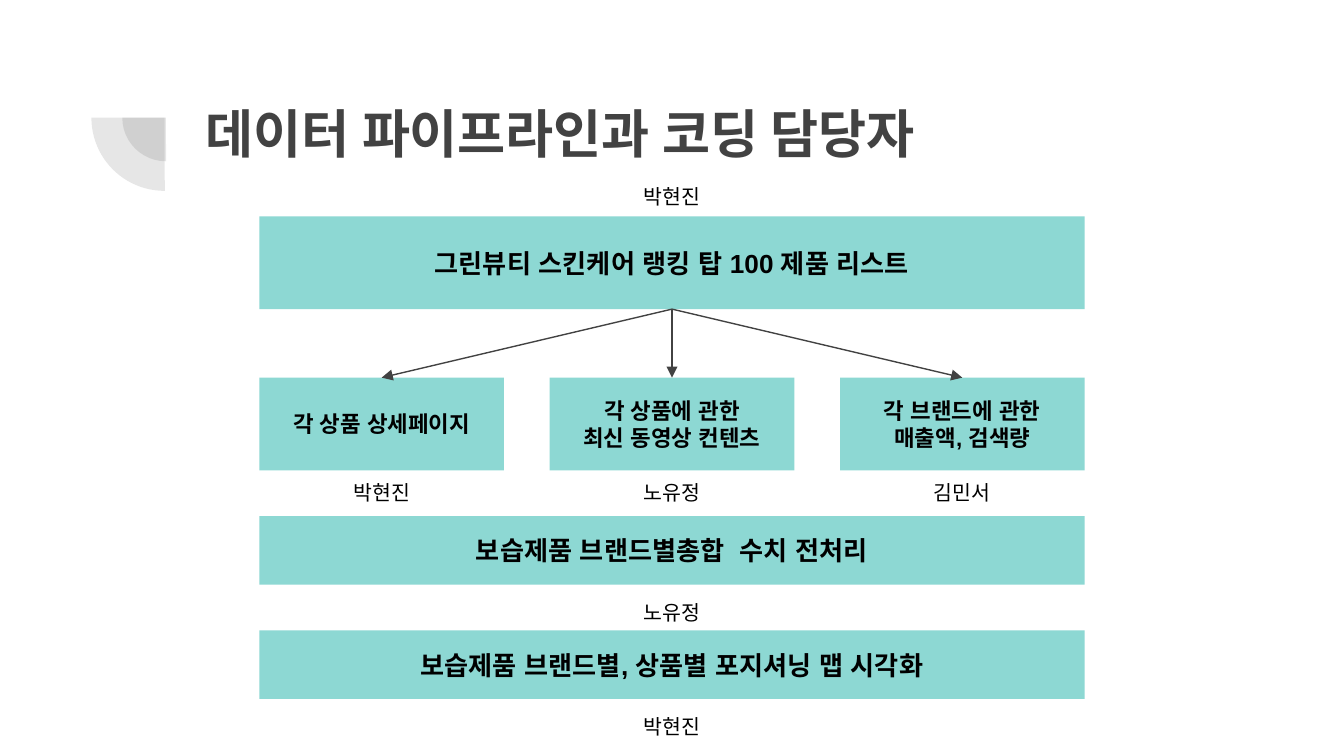
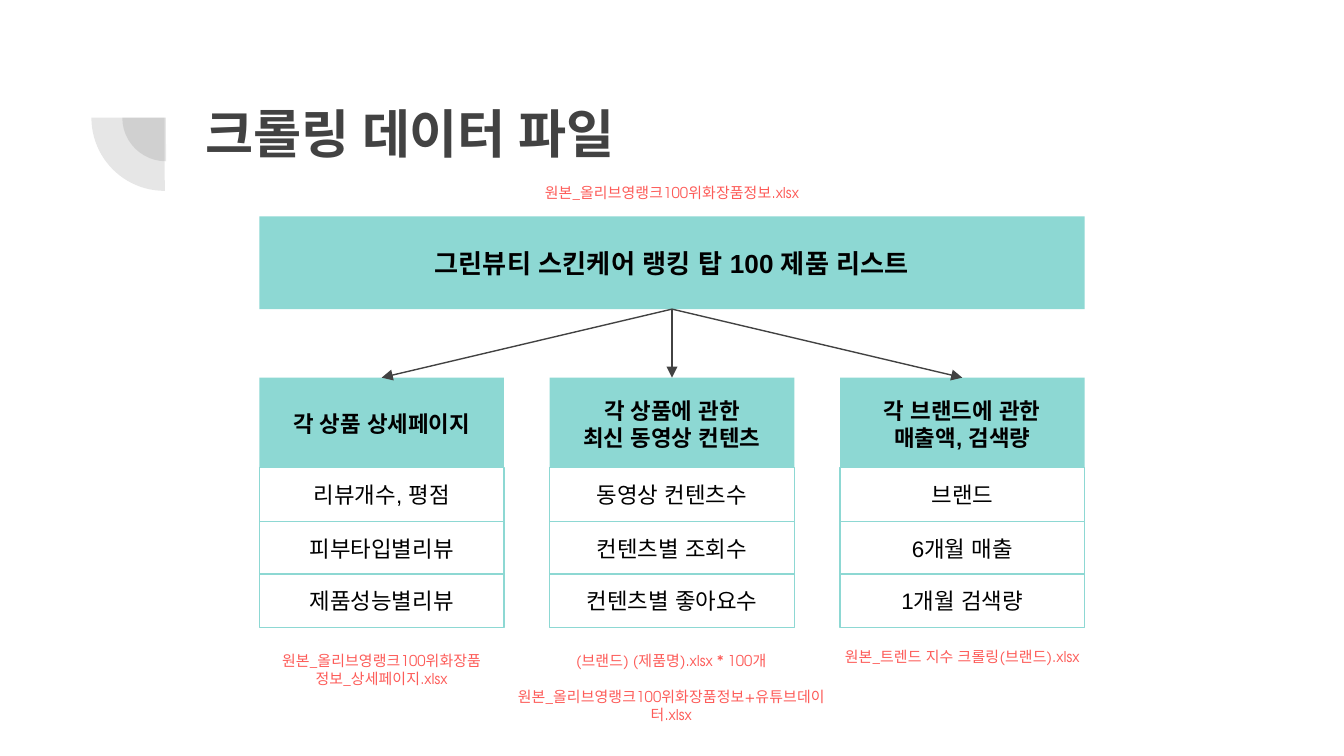
import dataclasses

import lxml.etree
import pptx
import pptx.dml.color
import pptx.enum.shapes
import pptx.enum.text
import pptx.oxml.ns
import pptx.util

Inches = pptx.util.Inches
Kind = pptx.enum.shapes.MSO_SHAPE
Link = pptx.enum.shapes.MSO_CONNECTOR
Align = pptx.enum.text.PP_ALIGN
Anchor = pptx.enum.text.MSO_ANCHOR
Fit = pptx.enum.text.MSO_AUTO_SIZE
qn = pptx.oxml.ns.qn


@dataclasses.dataclass(frozen=True)
class Theme:
    """Colours, fonts and type sizes of the deck."""
    dark: str = "424242"
    teal: str = "8DD8D3"
    white: str = "FFFFFF"
    black: str = "000000"
    red: str = "FD5B58"
    head: str = "Lato"
    body: str = "Arial"
    note: str = "TeX Gyre Adventor"
    title: int = 28
    bar: int = 14
    card: int = 12
    name: int = 11
    file: int = 8
    rule: float = 0.75
    alpha: int = 13


THEME = Theme()
LEFT, WIDE, CARD, STEP = 1.93, 6.14, 1.82, 2.16
COLS = [LEFT + STEP * i for i in range(3)]
TOP = "그린뷰티 스킨케어 랭킹 탑 100 제품 리스트"
CARDS = [
    ["각 상품 상세페이지"],
    ["각 상품에 관한", "최신 동영상 컨텐츠"],
    ["각 브랜드에 관한", "매출액, 검색량"],
]
ROWS = [
    (3.48, ["리뷰개수, 평점", "동영상 컨텐츠수", "브랜드"]),
    (3.88, ["피부타입별리뷰", "컨텐츠별 조회수", "6개월 매출"]),
    (4.27, ["제품성능별리뷰", "컨텐츠별 좋아요수", "1개월 검색량"]),
]


def rgb(code):
    """Turn a hex code into a colour."""
    return pptx.dml.color.RGBColor.from_string(code)


def put(item, values):
    """Set each value of a dict on an item."""
    for key, value in values.items():
        setattr(item, key, value)


def write(shape, lines, font, size, color, bold=False, frame=None, align=Align.CENTER, gap=0):
    """Fill a shape with styled lines, with a gap in points between them."""
    text = shape.text_frame
    sides = ("margin_left", "margin_top", "margin_right", "margin_bottom")
    put(text, dict.fromkeys(sides, Inches(0.1)))
    put(text, {"word_wrap": True, "auto_size": Fit.NONE, **(frame or {})})
    for i, line in enumerate(lines):
        para = text.paragraphs[0] if i == 0 else text.add_paragraph()
        para.alignment = align
        if i and gap:
            para.space_before = pptx.util.Pt(gap)
        run = para.add_run()
        run.text = line
        put(run.font, {"name": font, "size": pptx.util.Pt(size), "bold": bold})
        run.font.color.rgb = rgb(color)
        for tag in ("a:ea", "a:cs"):
            lxml.etree.SubElement(run._r.rPr, qn(tag), typeface=font)


def draw(slide, kind, box, fill, line=None):
    """Add a flat preset shape."""
    shape = slide.shapes.add_shape(kind, *map(Inches, box))
    shape.shadow.inherit = False
    shape.fill.solid()
    shape.fill.fore_color.rgb = rgb(fill)
    if line:
        shape.line.color.rgb = rgb(line)
        shape.line.width = pptx.util.Pt(THEME.rule)
    else:
        shape.line.fill.background()
    return shape


def block(slide, box, lines, size):
    """Add a teal box with bold text."""
    shape = draw(slide, Kind.RECTANGLE, box, THEME.teal)
    write(shape, lines, THEME.body, size, THEME.black, True, {"vertical_anchor": Anchor.MIDDLE})
    return shape


def cell(slide, box, text):
    """Add an outlined white box."""
    shape = draw(slide, Kind.RECTANGLE, box, THEME.white, THEME.teal)
    write(shape, [text], THEME.body, THEME.card, THEME.black,
          frame={"vertical_anchor": Anchor.MIDDLE})


def label(slide, box, lines, size, color, gap=0):
    """Add a centred caption."""
    shape = slide.shapes.add_textbox(*map(Inches, box))
    write(shape, lines, THEME.note, size, color,
          frame={"auto_size": Fit.SHAPE_TO_FIT_TEXT}, gap=gap)


def person(slide, left, top, text, width=CARD):
    """Add the name of the person in charge."""
    label(slide, (left, top, width, 0.39), [text], THEME.name, THEME.black)


def files(slide, left, top, width, height, lines, gap=0):
    """Add the file names of a data set."""
    label(slide, (left, top, width, height), lines, THEME.file, THEME.red, gap)


def arrow(slide, start, end):
    """Link the foot of one box to the head of another."""
    link = slide.shapes.add_connector(Link.STRAIGHT, 0, 0, 0, 0)
    link.begin_connect(start, 2)
    link.end_connect(end, 0)
    link.line.color.rgb = rgb(THEME.dark)
    link.line.width = pptx.util.Pt(THEME.rule)
    props = link._element.spPr
    lxml.etree.SubElement(props.find(qn("a:ln")), qn("a:tailEnd"), type="triangle")
    lxml.etree.SubElement(props, qn("a:effectLst"))


def wedge(slide, left, top, size):
    """Add a faint quarter disc."""
    shape = draw(slide, Kind.PIE, (left, top, size, size), THEME.dark)
    shape.adjustments[0] = 107.93
    shape.adjustments[1] = 162
    shape.rotation = 270
    tint = shape._element.spPr.find(qn("a:solidFill"))[0]
    lxml.etree.SubElement(tint, qn("a:alpha"), val=str(THEME.alpha * 1000))


def start(deck, text):
    """Add a slide with its title, mark and data tree."""
    slide = deck.slides.add_slide(deck.slide_layouts[5])
    wedge(slide, 0.91, 0.55, 0.65)
    wedge(slide, 0.68, 0.33, 1.09)
    title = slide.shapes.title
    box = {"left": 1.43, "top": 0.65, "width": 7.69, "height": 1.09}
    put(title, {key: Inches(value) for key, value in box.items()})
    write(title, [text], THEME.head, THEME.title, THEME.dark, True,
          {"vertical_anchor": Anchor.TOP}, Align.LEFT)
    root = block(slide, (LEFT, 1.61, WIDE, 0.69), [TOP], THEME.bar)
    for left, lines in zip(COLS, CARDS):
        card = block(slide, (left, 2.81, CARD, 0.69), lines, THEME.card)
        arrow(slide, root, card)
    return slide


def flow(deck):
    """Build the pipeline slide."""
    slide = start(deck, "데이터 파이프라인과 코딩 담당자")
    person(slide, LEFT, 1.28, "박현진", WIDE)
    for left, name in zip(COLS, ("박현진", "노유정", "김민서")):
        person(slide, left, 3.48, name)
    steps = [
        (3.84, "보습제품 브랜드별총합  수치 전처리", "노유정"),
        (4.69, "보습제품 브랜드별, 상품별 포지셔닝 맵 시각화", "박현진"),
    ]
    for top, text, name in steps:
        block(slide, (LEFT, top, WIDE, 0.51), [text], THEME.bar)
        person(slide, COLS[1], top + 0.53, name)


def data(deck):
    """Build the data file slide."""
    slide = start(deck, "크롤링 데이터 파일")
    for top, row in ROWS:
        for left, text in zip(COLS, row):
            cell(slide, (left, top, CARD, 0.4), text)
    files(slide, 3.7, 1.3, 2.6, 0.34, ["원본_올리브영랭크100위화장품정보.xlsx"])
    files(slide, 1.54, 4.75, 2.6, 0.47, ["원본_올리브영랭크100위화장품", "정보_상세페이지.xlsx"])
    files(slide, 3.64, 4.75, 2.71, 0.74,
          ["(브랜드) (제품명).xlsx * 100개", "원본_올리브영랭크100위화장품정보+유튜브데이터.xlsx"], 9.5)
    files(slide, 5.86, 4.75, 2.6, 0.34, ["원본_트렌드 지수 크롤링(브랜드).xlsx"])


def main():
    """Build and save the deck."""
    deck = pptx.Presentation()
    wide = Inches(10)
    put(deck, {"slide_width": wide, "slide_height": wide * 9 // 16})
    flow(deck)
    data(deck)
    deck.save("out.pptx")


if __name__ == "__main__":
    main()
